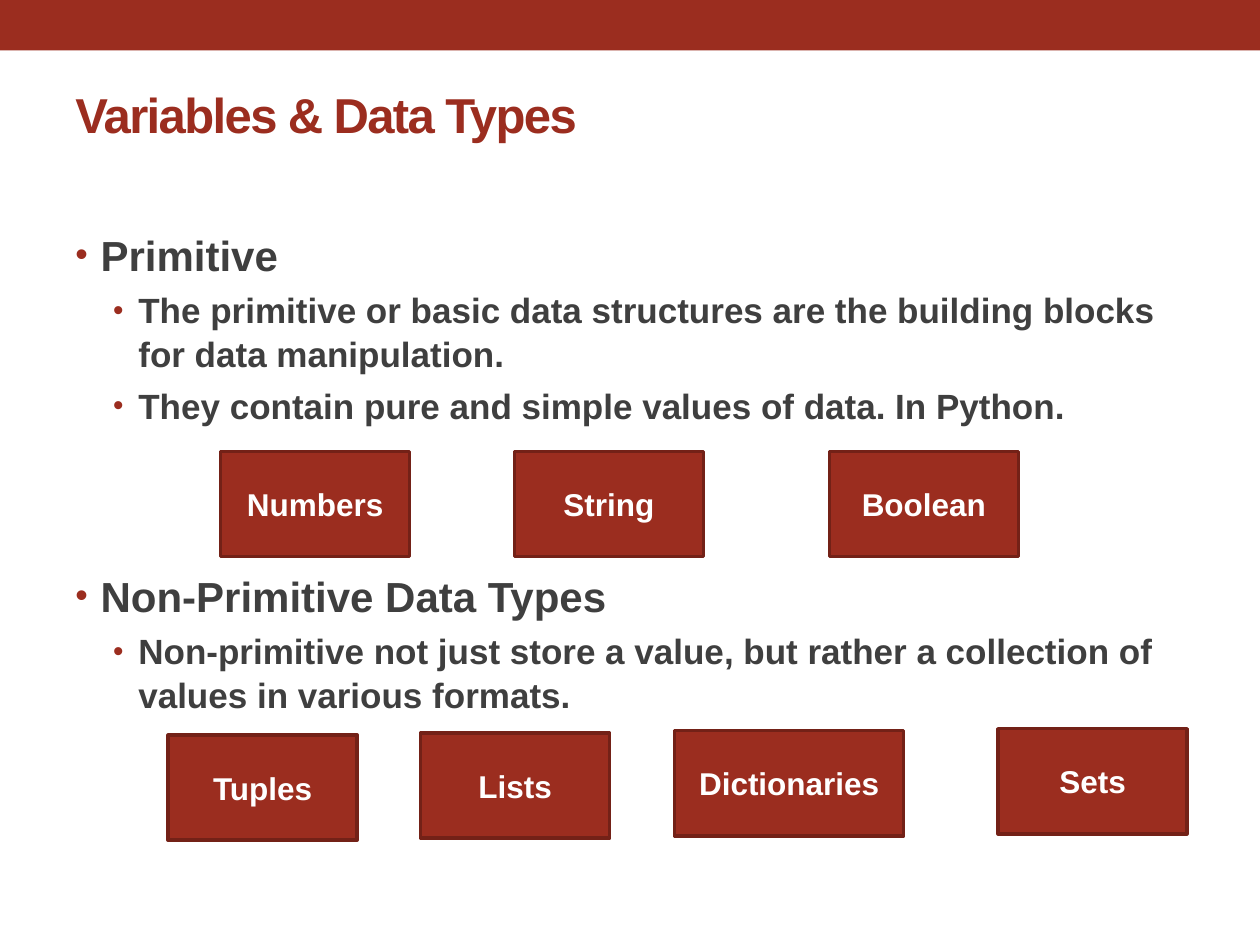
from typing import NamedTuple

from lxml.etree import SubElement
from pptx import Presentation
from pptx.dml.color import RGBColor
from pptx.enum.shapes import MSO_SHAPE
from pptx.enum.text import MSO_ANCHOR, PP_ALIGN
from pptx.oxml.ns import qn
from pptx.util import Cm, Pt

RUST = RGBColor(0x9B, 0x2D, 0x1F)
DARK_RUST = RGBColor(0x73, 0x21, 0x17)
CHARCOAL = RGBColor(0x3F, 0x3F, 0x3F)
WHITE = RGBColor(0xFF, 0xFF, 0xFF)
FONT = "Arial"
MARGIN = 1.27
CONTENT_WIDTH = 22.86
TYPE_HEIGHT = 2.12
PRIMITIVE_TOP = 9.1


class Bullet(NamedTuple):
    text: str
    level: int
    space_before: float


class TypeBox(NamedTuple):
    label: str
    left: float
    top: float
    width: float = 3.81


BULLETS = [
    Bullet("Primitive", 0, 0),
    Bullet("The primitive or basic data structures are the building blocks "
           "for data manipulation.", 1, 4),
    Bullet("They contain pure and simple values of data. In Python.", 1, 4),
    Bullet("Non-Primitive Data Types", 0, 81),  # leaves room for the primitive boxes
    Bullet("Non-primitive not just store a value, but rather a collection of "
           "values in various formats.", 1, 4),
]
LEVEL_SIZES = [24, 20]
LEVEL_INDENTS = [0.51, 1.27]
HANGING = 0.51

TYPE_BOXES = [
    TypeBox("Numbers", 4.45, PRIMITIVE_TOP),
    TypeBox("String", 10.37, PRIMITIVE_TOP),
    TypeBox("Boolean", 16.72, PRIMITIVE_TOP),
    TypeBox("Tuples", 3.39, 14.82),
    TypeBox("Lists", 8.48, 14.78),
    TypeBox("Dictionaries", 13.6, 14.73, 4.62),
    TypeBox("Sets", 20.12, 14.69),
]


def add_bold_run(paragraph, text: str, size: float, color: RGBColor):
    run = paragraph.add_run()
    run.text = text
    run.font.name = FONT
    run.font.size = Pt(size)
    run.font.bold = True
    run.font.color.rgb = color
    return run


def add_rectangle(slide, left: float, top: float, width: float, height: float):
    rectangle = slide.shapes.add_shape(
        MSO_SHAPE.RECTANGLE, Cm(left), Cm(top), Cm(width), Cm(height))
    rectangle.shadow.inherit = False
    rectangle.fill.solid()
    rectangle.fill.fore_color.rgb = RUST
    return rectangle


def add_text_frame(slide, top: float, height: float):
    frame = slide.shapes.add_textbox(
        Cm(MARGIN), Cm(top), Cm(CONTENT_WIDTH), Cm(height)).text_frame
    frame.word_wrap = True
    return frame


def add_title(slide) -> None:
    frame = add_text_frame(slide, 1.47, 2.74)
    frame.margin_top = Cm(0.23)
    title = add_bold_run(frame.paragraphs[0], "Variables & Data Types", 28, RUST)
    title.font._element.set("spc", "-90")


def set_bullet(paragraph, level: int) -> None:
    """Give the paragraph a hanging rust bullet at its level's indent."""
    properties = paragraph._p.get_or_add_pPr()
    properties.set("marL", str(Cm(LEVEL_INDENTS[level])))
    properties.set("indent", str(-Cm(HANGING)))
    color = SubElement(properties, qn("a:buClr"))
    SubElement(color, qn("a:srgbClr"), val=str(RUST))
    SubElement(properties, qn("a:buSzPct"), val="85000")
    SubElement(properties, qn("a:buFont"), typeface=FONT)
    SubElement(properties, qn("a:buChar"), char="•")


def add_bullets(slide) -> None:
    frame = add_text_frame(slide, 4.45, 13.54)
    for index, bullet in enumerate(BULLETS):
        paragraph = frame.add_paragraph() if index else frame.paragraphs[0]
        paragraph.level = bullet.level
        set_bullet(paragraph, bullet.level)
        paragraph.line_spacing = 1.05
        paragraph.space_before = Pt(bullet.space_before)
        add_bold_run(paragraph, bullet.text, LEVEL_SIZES[bullet.level], CHARCOAL)


def add_type_box(slide, box: TypeBox) -> None:
    rectangle = add_rectangle(slide, box.left, box.top, box.width, TYPE_HEIGHT)
    rectangle.line.color.rgb = DARK_RUST
    rectangle.line.width = Pt(2)
    frame = rectangle.text_frame
    frame.word_wrap = True
    frame.vertical_anchor = MSO_ANCHOR.MIDDLE
    label = frame.paragraphs[0]
    label.alignment = PP_ALIGN.CENTER
    add_bold_run(label, box.label, 18, WHITE)


def main() -> None:
    deck = Presentation()
    deck.slide_width, deck.slide_height = Cm(25.4), Cm(19.05)
    slide = deck.slides.add_slide(deck.slide_layouts[6])
    banner = add_rectangle(slide, 0, 0, 25.4, 1.02)
    banner.line.fill.background()
    add_title(slide)
    add_bullets(slide)
    for box in TYPE_BOXES:
        add_type_box(slide, box)
    deck.save("out.pptx")


if __name__ == "__main__":
    main()
